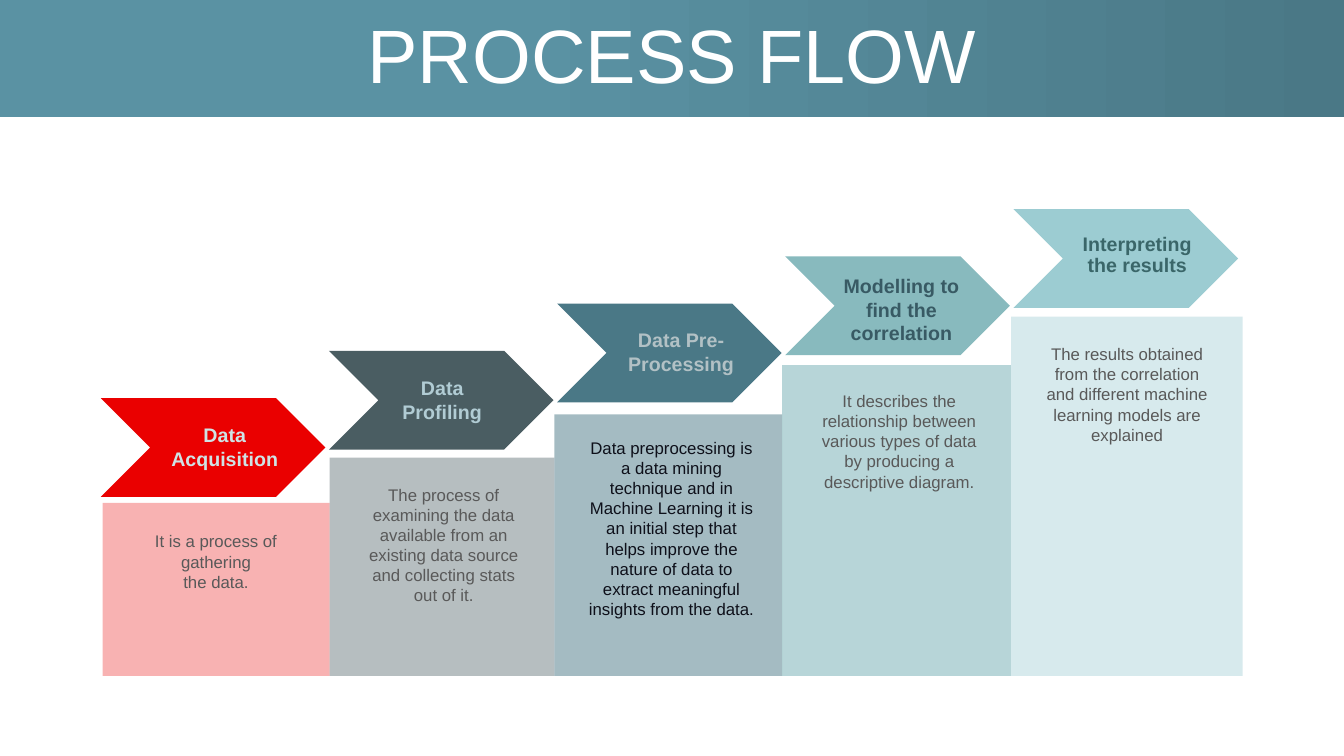
from lxml import etree
from pptx import Presentation
from pptx.dml.color import RGBColor
from pptx.enum.shapes import MSO_SHAPE
from pptx.enum.text import MSO_ANCHOR, PP_ALIGN
from pptx.oxml.ns import qn
from pptx.util import Cm, Pt

RECT = MSO_SHAPE.RECTANGLE
CHEVRON = MSO_SHAPE.CHEVRON
CENTER = PP_ALIGN.CENTER
TOP = MSO_ANCHOR.TOP
MIDDLE = MSO_ANCHOR.MIDDLE

COLORS = {
    "white": "FFFFFF", "sky": "5A92A3", "steel": "4A7886",
    "red": "EA0000", "slate": "4A5D62", "teal": "88BABE", "aqua": "9CCCD2",
    "mist": "CFE3E5", "pale": "B1CCD4", "ash": "B2C1C5",
    "deep": "385A64", "pine": "3A6669", "gray": "595959", "ink": "0E101A",
}

# Chevron, panel opacity in %, panel top, label, label colour,
# label box in cm, body paragraphs, body colour
STEPS = [
    ("red", 30, 12.67, "Data Acquisition", "mist", (3.99, 10.54, 3.35, 1.45),
     ["It is a process of gathering", "the data."], "gray"),
    ("slate", 40, 11.53, "Data Profiling", "pale", (9.75, 9.35, 2.79, 1.45),
     ["The process of examining the data available from an existing "
      "data source and collecting stats out of it."], "gray"),
    ("steel", 50, 10.44, "Data Pre-Processing", "ash", (15.49, 8.15, 3.35, 1.45),
     ["Data preprocessing is a data mining technique and in Machine Learning "
      "it is an initial step that helps improve the nature of data to extract "
      "meaningful insights from the data."], "ink"),
    ("teal", 60, 9.2, "Modelling to find the correlation", "deep",
     (20.88, 6.78, 3.68, 2.06),
     ["It describes the relationship between various types of data by "
      "producing a descriptive diagram."], "gray"),
    ("aqua", 40, 7.98, "Interpreting the results", "pine",
     (26.97, 5.79, 3.38, 1.35),
     ["The results obtained from the correlation and different machine "
      "learning models are explained"], "gray"),
]
EDGES = [2.59, 8.31, 13.97, 19.71, 25.48, 31.32]
BASE = 17.03


def rgb(name):
    return RGBColor.from_string(COLORS[name])


def add_block(slide, kind, box, color, alpha=100):
    block = slide.shapes.add_shape(kind, *map(Cm, box))
    block.shadow.inherit = False
    block.line.fill.background()
    block.fill.solid()
    block.fill.fore_color.rgb = rgb(color)
    if alpha < 100:
        tint = block.fill._xPr.find(".//" + qn("a:srgbClr"))
        etree.SubElement(tint, qn("a:alpha"), val=str(alpha * 1000))
    return block


def add_text(slide, lines, box, *, size, color, bold=False, anchor=TOP, space=None):
    frame = slide.shapes.add_textbox(*map(Cm, box)).text_frame
    frame.word_wrap = True
    frame.vertical_anchor = anchor
    for i, line in enumerate(lines):
        para = frame.add_paragraph() if i else frame.paragraphs[0]
        para.text = line
        para.alignment = CENTER
        para.line_spacing = space
        para.font.name = "Arial"
        para.font.size = Pt(size)
        para.font.bold = bold
        para.font.color.rgb = rgb(color)


def add_banner(slide, title):
    band = add_block(slide, RECT, (0, 0, 33.87, 2.95), "sky")
    band.fill.gradient()
    band.fill.gradient_angle = 0
    stops = band.fill.gradient_stops
    for stop, place, color in zip(stops, (0.38, 1), ("sky", "steel")):
        stop.position = place
        stop.color.rgb = rgb(color)
    add_text(slide, [title], (0.86, 0.48, 32.16, 2.01), size=54,
             color="white", anchor=MIDDLE, space=0.9)


def add_step(slide, i, step):
    color, alpha, top, label, tone, box, body, shade = step
    left, right = EDGES[i:i + 2]
    add_block(slide, RECT, (left, top, right - left, BASE - top), color, alpha)
    add_block(slide, CHEVRON,
              (2.54 + 5.75 * i, 10.03 - 1.19 * i, 5.66, 2.49), color)
    last = i == len(STEPS) - 1
    add_text(slide, [label], box, size=14, color=tone, bold=True,
             space=0.9 if last else None)
    add_text(slide, body, (3.07 + 5.74 * i, 13.26 - 1.18 * i, 4.75, 2.82),
             size=12, color=shade)


def main():
    deck = Presentation()
    deck.slide_width, deck.slide_height = Cm(33.87), Cm(19.05)
    slide = deck.slides.add_slide(deck.slide_layouts[6])
    # Title band
    add_banner(slide, "PROCESS FLOW")
    # Rising steps
    for i, step in enumerate(STEPS):
        add_step(slide, i, step)
    deck.save("out.pptx")


if __name__ == "__main__":
    main()
